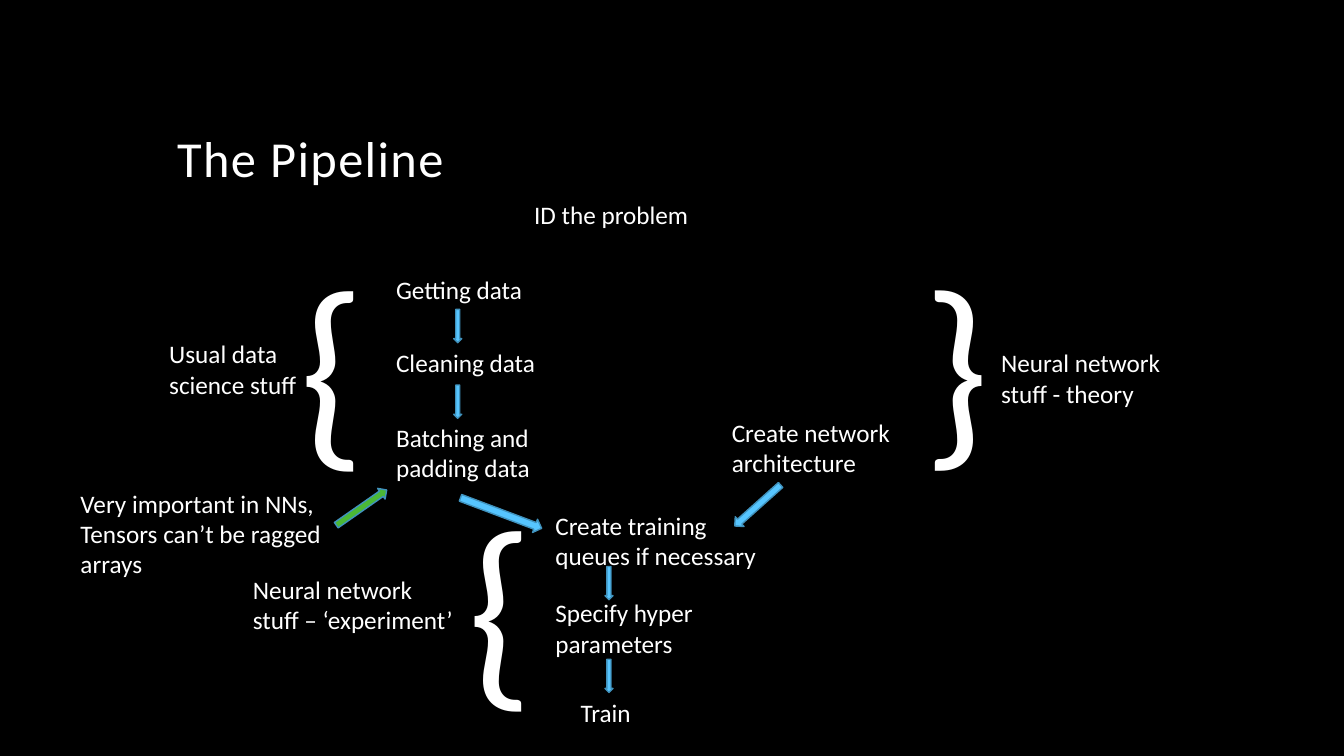
from pptx import Presentation
from pptx.dml.color import RGBColor
from pptx.enum.shapes import MSO_SHAPE
from pptx.enum.text import MSO_ANCHOR, MSO_AUTO_SIZE
from pptx.util import Inches, Pt

BLACK = RGBColor(0x00, 0x00, 0x00)
WHITE = RGBColor(0xFF, 0xFF, 0xFF)
BLUE = RGBColor(0x56, 0xC5, 0xFF)
GREEN = RGBColor(0x4B, 0xB8, 0x36)
OUTLINE = RGBColor(0x40, 0x92, 0xBD)
FONT = "Calibri"

# Content: pipeline steps as text, left, top, height
STEP_W = 2.25
STEPS = [
    ("Getting data", 3.83, 2.67, 0.4),
    ("Cleaning data", 3.83, 3.4, 0.4),
    ("Batching and padding data", 3.83, 4.14, 0.71),
    ("Create network architecture", 7.16, 4.09, 0.71),
    ("Create training queues if necessary", 5.41, 5.01, 0.71),
    ("Specify hyper parameters", 5.41, 5.88, 0.71),
    ("Train", 5.66, 6.87, 0.4),
]

# Side labels: text, left, top, width, height
LABELS = [
    ("ID the problem", 5.2, 1.93, 1.76, 0.4),
    ("Usual data\nscience stuff", 1.58, 3.31, 1.5, 0.71),
    ("Neural network\nstuff - theory", 9.83, 3.4, 1.82, 0.71),
    ("Neural network\nstuff – ‘experiment’", 2.41, 5.65, 2.21, 0.71),
    ("Very important in NNs,\nTensors can’t be ragged\narrays", 0.7, 4.79, 2.67, 1.01),
]

# Braces: left, top, rotation
BRACE_W, BRACE_H = 0.83, 2.63
BRACES = [(2.87, 2.27, 0), (9.08, 2.67, 180), (4.54, 4.65, 0)]

# Arrows: short ones as left, top; slanted ones in full
DOWN_W, DOWN_H = 0.08, 0.33
DOWN_ARROWS = [(4.5, 3.07), (4.5, 3.82), (6, 5.62), (6, 6.54)]
SLANTED_ARROWS = [
    (4.9, 4.66, 0.14, 0.86, 290.6, BLUE),
    (7.45, 4.71, 0.13, 0.61, 48.2, BLUE),
    (3.52, 4.73, 0.13, 0.61, 235.1, GREEN),
]

prs = Presentation()
prs.slide_width, prs.slide_height = Inches(13.33), Inches(7.5)
s = prs.slides.add_slide(prs.slide_layouts[6])
s.background.fill.solid()
s.background.fill.fore_color.rgb = BLACK


def add_text(text, x, y, w, h, size=18, wrap=False, rotation=0,
             anchor=MSO_ANCHOR.TOP, grow=True, line_spacing=None, tracking=None):
    box = s.shapes.add_textbox(*map(Inches, (x, y, w, h)))
    box.rotation = rotation
    tf = box.text_frame
    tf.word_wrap = wrap
    tf.auto_size = MSO_AUTO_SIZE.SHAPE_TO_FIT_TEXT if grow else MSO_AUTO_SIZE.NONE
    tf.vertical_anchor = anchor
    tf.text = text
    for p in tf.paragraphs:
        p.line_spacing = line_spacing
        for r in p.runs:
            r.font.name, r.font.size = FONT, Pt(size)
            r.font.color.rgb = WHITE
            if tracking:
                r.font._element.set("spc", str(tracking * 100))


def add_arrow(x, y, w=DOWN_W, h=DOWN_H, rotation=0, color=BLUE):
    sp = s.shapes.add_shape(MSO_SHAPE.DOWN_ARROW, *map(Inches, (x, y, w, h)))
    sp.rotation = rotation
    sp.shadow.inherit = False
    sp.fill.solid()
    sp.fill.fore_color.rgb = color
    sp.line.color.rgb = OUTLINE
    sp.line.width = Pt(1)


# Title
add_text("The Pipeline", 1.66, 0.42, 10, 1.5, size=36, wrap=True, grow=False,
         anchor=MSO_ANCHOR.BOTTOM, line_spacing=0.9, tracking=1)

# Steps and the arrows between them
for text, x, y, h in STEPS:
    add_text(text, x, y, STEP_W, h, wrap=True)
for arrow in DOWN_ARROWS + SLANTED_ARROWS:
    add_arrow(*arrow)

# Braces and side labels
for x, y, rotation in BRACES:
    add_text("{", x, y, BRACE_W, BRACE_H, size=150, rotation=rotation)
for label in LABELS:
    add_text(*label)

prs.save("out.pptx")
